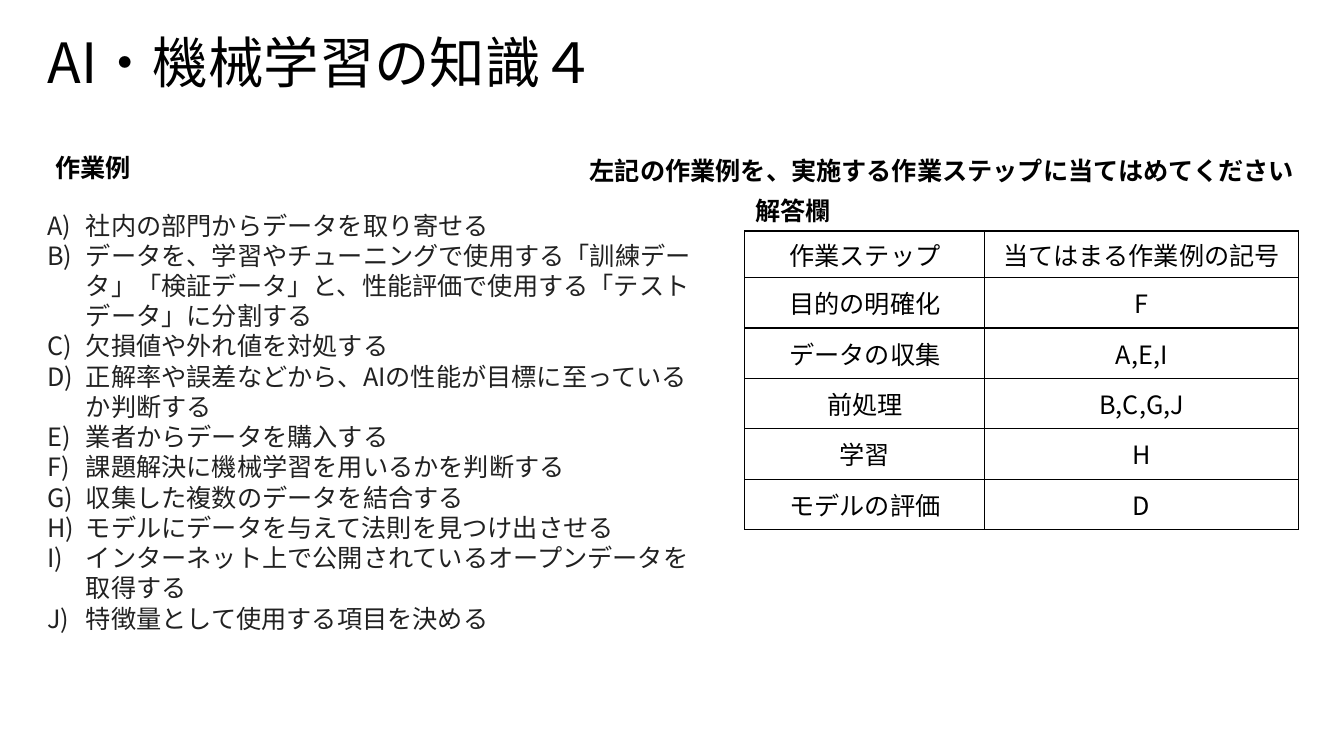
from dataclasses import dataclass

from lxml.etree import SubElement
from pptx import Presentation
from pptx.dml.color import RGBColor as Rgb
from pptx.enum.text import MSO_ANCHOR as Anchor, MSO_AUTO_SIZE as Fit, PP_ALIGN as Align
from pptx.oxml.ns import qn
from pptx.util import Cm, Pt


@dataclass(frozen=True)
class Theme:
    font: str = "Noto Sans CJK JP"
    ink: str = "000000"
    soft: str = "212121"
    head: float = 39.6
    body: float = 18
    pitch: float = 1.2  # line height, in type sizes
    tight: float = 1.08
    rule: float = 1


def write(para, text, look, size=None, color=None, bold=False, align=Align.LEFT, pitch=None):
    """Put formatted text in a paragraph; pitch fixes the line height."""
    size = size or look.body
    para.alignment = align
    para.space_before = para.space_after = Pt(0)
    if pitch:
        para.line_spacing = Pt(size * pitch)
    run = para.add_run()
    run.text = text
    font = run.font
    font.name, font.size, font.bold = look.font, Pt(size), bold
    font.color.rgb = Rgb.from_string(color or look.ink)
    SubElement(font._element, qn("a:ea"), typeface=look.font)


class Page:
    def __init__(self, deck, look):
        self.look = look
        self.slide = deck.slides.add_slide(deck.slide_layouts[1])

    def place(self, shape, box):
        shape.left, shape.top, shape.width, shape.height = map(Cm, box)
        shape.text_frame.auto_size = Fit.NONE
        return shape.text_frame

    def title(self, text, box):
        frame = self.place(self.slide.shapes.title, box)
        frame.vertical_anchor = Anchor.MIDDLE
        write(frame.paragraphs[0], text, self.look, size=self.look.head, pitch=self.look.tight)

    def list(self, items, box, indent):
        frame = self.place(self.slide.placeholders[1], box)
        for n, item in enumerate(items):
            para = frame.add_paragraph() if n else frame.paragraphs[0]
            write(para, item, self.look, color=self.look.soft, pitch=self.look.pitch)
            props = para._p.get_or_add_pPr()
            props.set("marL", str(Cm(indent)))
            props.set("indent", str(-Cm(indent)))
            SubElement(props, qn("a:buFont"), typeface=self.look.font)
            SubElement(props, qn("a:buAutoNum"), type="alphaUcParenR")

    def label(self, text, box, wrap=True, **form):
        frame = self.slide.shapes.add_textbox(*map(Cm, box)).text_frame
        frame.word_wrap = wrap
        write(frame.paragraphs[0], text, self.look, bold=True, **form)

    def table(self, data, spot, cols, rows):
        shape = self.slide.shapes.add_table(
            len(data), len(cols), *map(Cm, (*spot, sum(cols), sum(rows))))
        grid = shape.table
        grid.first_row = grid.horz_banding = False
        for col, width in zip(grid.columns, cols):
            col.width = Cm(width)
        for row, height, texts in zip(grid.rows, rows, data):
            row.height = Cm(height)
            for cell, text in zip(row.cells, texts):
                self.frame(cell)
                cell.vertical_anchor = Anchor.MIDDLE
                write(cell.text_frame.paragraphs[0], text, self.look, align=Align.CENTER)

    def frame(self, cell):
        props = cell._tc.get_or_add_tcPr()
        for side in "LRTB":
            line = SubElement(props, qn("a:ln" + side), w=str(Pt(self.look.rule)))
            fill = SubElement(line, qn("a:solidFill"))
            SubElement(fill, qn("a:srgbClr"), val=self.look.ink)
        cell.fill.background()


tasks = [
    "社内の部門からデータを取り寄せる",
    "データを、学習やチューニングで使用する「訓練データ」「検証データ」と、性能評価で使用する「テストデータ」に分割する",
    "欠損値や外れ値を対処する",
    "正解率や誤差などから、AIの性能が目標に至っているか判断する",
    "業者からデータを購入する",
    "課題解決に機械学習を用いるかを判断する",
    "収集した複数のデータを結合する",
    "モデルにデータを与えて法則を見つけ出させる",
    "インターネット上で公開されているオープンデータを取得する",
    "特徴量として使用する項目を決める",
]
steps = [
    ("作業ステップ", "当てはまる作業例の記号"),
    ("目的の明確化", "F"),
    ("データの収集", "A,E,I"),
    ("前処理", "B,C,G,J"),
    ("学習", "H"),
    ("モデルの評価", "D"),
]

deck = Presentation()
deck.slide_width, deck.slide_height = Cm(33.87), Cm(19.05)
look = Theme()
page = Page(deck, look)

# Title
page.title("AI・機械学習の知識４", (0.94, 1.02, 29.21, 1.24))

# Table of steps and answers
page.table(steps, (18.77, 5.82), cols=(6.05, 7.9), rows=(1.17,) + (1.27,) * 5)

# Tasks on the left
page.label("作業例", (1.14, 3.78, 6.68, 1.19), pitch=look.tight)
page.list(tasks, (0.94, 5.16, 16.94, 11.02), indent=0.97)

# Prompt and answer heading on the right
page.label("左記の作業例を、実施する作業ステップに当てはめてください",
           (14.61, 3.78, 18.59, 1.02), pitch=look.pitch)
page.label("解答欄", (18.77, 4.8, 2.44, 1.02), wrap=False,
           align=Align.CENTER, pitch=look.pitch)

deck.save("out.pptx")
